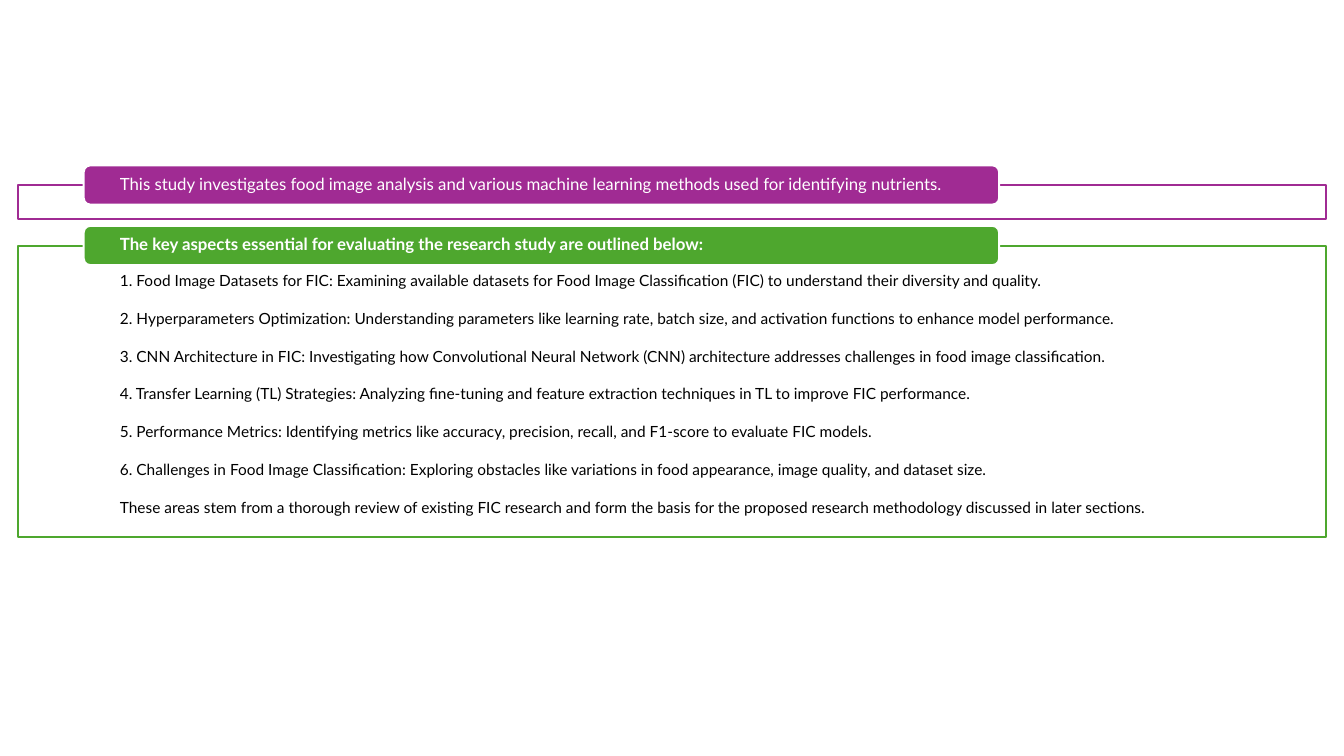
import pptx
import pptx.util
import pptx.dml.color
import pptx.enum.shapes
import pptx.enum.text
import lxml.etree

COLORS = {"purple": "A02B93", "green": "4EA72E", "white": "FFFFFF", "black": "000000"}
FONT = "Lato"

SECTIONS = [
    {
        "heading": "This study investigates food image analysis and various machine learning methods used for identifying nutrients.",
        "color": "purple", "bold": False, "top": 1.84, "height": 0.33,
        "points": [],
    },
    {
        "heading": "The key aspects essential for evaluating the research study are outlined below:",
        "color": "green", "bold": True, "top": 2.44, "height": 2.89,
        "points": [
            "1. Food Image Datasets for FIC: Examining available datasets for Food Image Classification (FIC) to understand their diversity and quality.",
            "2. Hyperparameters Optimization: Understanding parameters like learning rate, batch size, and activation functions to enhance model performance.",
            "3. CNN Architecture in FIC: Investigating how Convolutional Neural Network (CNN) architecture addresses challenges in food image classification.",
            "4. Transfer Learning (TL) Strategies: Analyzing fine-tuning and feature extraction techniques in TL to improve FIC performance.",
            "5. Performance Metrics: Identifying metrics like accuracy, precision, recall, and F1-score to evaluate FIC models.",
            "6. Challenges in Food Image Classification: Exploring obstacles like variations in food appearance, image quality, and dataset size.",
            "These areas stem from a thorough review of existing FIC research and form the basis for the proposed research methodology discussed in later sections.",
        ],
    },
]

FRAME_LEFT, FRAME_WIDTH = 0.18, 12.97
TAB_LEFT, TAB_WIDTH, TAB_HEIGHT = 0.83, 9.08, 0.39
TAB_RISE = 0.2
POINT_GAP = 15.14

Inches = pptx.util.Inches
Pt = pptx.util.Pt
SHAPES = pptx.enum.shapes.MSO_SHAPE
ALIGN = pptx.enum.text.PP_ALIGN
ANCHOR = pptx.enum.text.MSO_ANCHOR


def rgb(name):
    return pptx.dml.color.RGBColor.from_string(COLORS[name])


def add_box(page, kind, left, top, width, height, fill, line):
    box = page.shapes.add_shape(kind, Inches(left), Inches(top), Inches(width), Inches(height))
    box.shadow.inherit = False
    box.fill.solid()
    box.fill.fore_color.rgb = rgb(fill)
    box.line.color.rgb = rgb(line)
    box.line.width = Pt(1.5)
    return box


def set_opacity(box, percent):
    color = box.fill._xPr.find(".//" + pptx.oxml.ns.qn("a:srgbClr"))
    alpha = lxml.etree.SubElement(color, pptx.oxml.ns.qn("a:alpha"))
    alpha.set("val", str(percent * 1000))


def write_text(box, lines, *, size, color, insets, bold=False, align=ALIGN.LEFT,
               anchor=ANCHOR.TOP, gap=0):
    frame = box.text_frame
    frame.word_wrap = True
    frame.vertical_anchor = anchor
    frame.margin_left, frame.margin_top, frame.margin_right, frame.margin_bottom = map(Inches, insets)
    for index, line in enumerate(lines):
        para = frame.add_paragraph() if index else frame.paragraphs[0]
        para.alignment = align
        para.line_spacing = 0.9
        para.space_after = Pt(gap)
        span = para.add_run()
        span.text = line
        span.font.name = FONT
        span.font.size = Pt(size)
        span.font.bold = bold
        span.font.color.rgb = rgb(color)


def add_section(page, section):
    frame = add_box(page, SHAPES.RECTANGLE, FRAME_LEFT, section["top"], FRAME_WIDTH,
                    section["height"], "white", section["color"])
    set_opacity(frame, 90)
    if section["points"]:
        write_text(frame, section["points"], size=11, color="black",
                   insets=(1.01, 0.27, 1.01, 0.09), align=ALIGN.JUSTIFY, gap=POINT_GAP)
    tab = add_box(page, SHAPES.ROUNDED_RECTANGLE, TAB_LEFT, section["top"] - TAB_RISE,
                  TAB_WIDTH, TAB_HEIGHT, section["color"], "white")
    write_text(tab, [section["heading"]], size=12, color="white", insets=(0.34, 0, 0.34, 0),
               bold=section["bold"], anchor=ANCHOR.MIDDLE)


def main():
    deck = pptx.Presentation()
    deck.slide_width = Inches(13.33)
    deck.slide_height = Inches(7.5)
    page = deck.slides.add_slide(deck.slide_layouts[6])
    for section in SECTIONS:
        add_section(page, section)
    deck.save("out.pptx")


if __name__ == "__main__":
    main()
